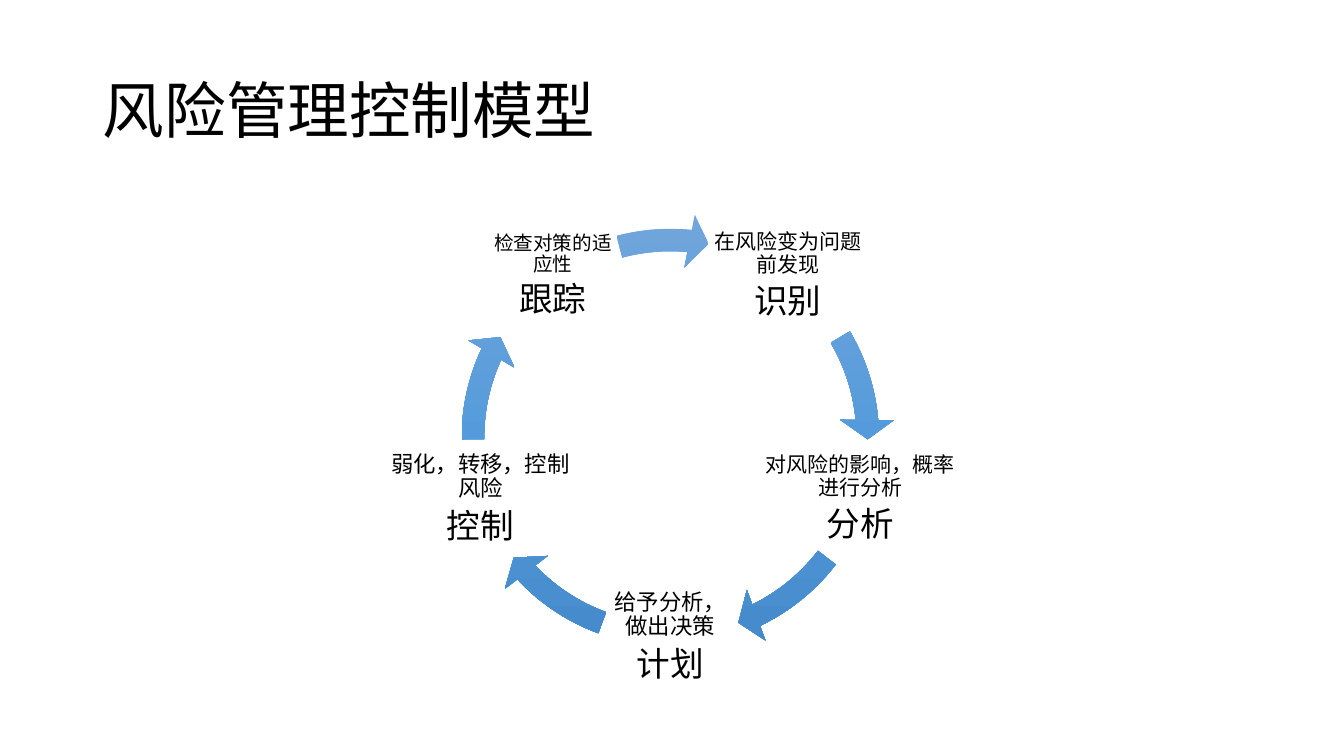
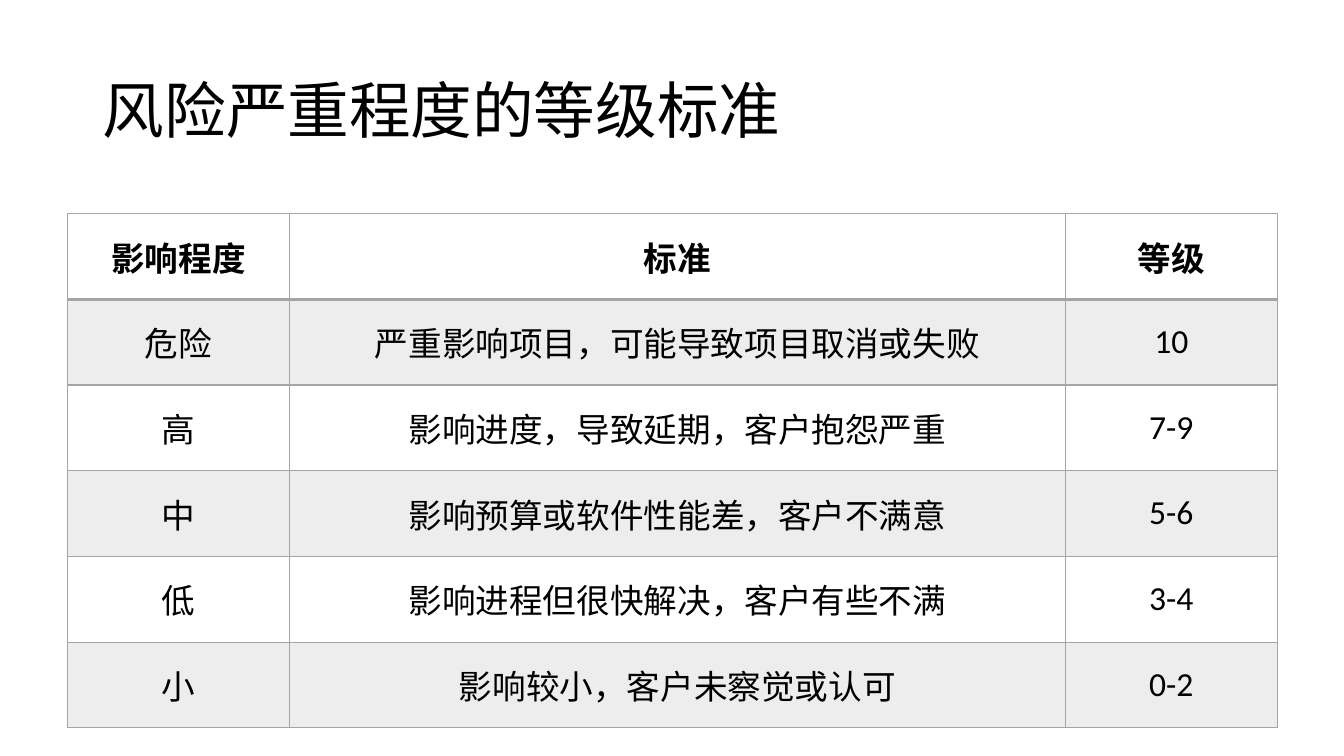
from dataclasses import dataclass
from math import cos, radians, sin

from lxml.etree import SubElement
from pptx import Presentation
from pptx.dml.color import RGBColor
from pptx.enum.shapes import MSO_SHAPE as Preset
from pptx.enum.text import MSO_ANCHOR as Anchor, PP_ALIGN as Align
from pptx.oxml.ns import qn
from pptx.shapes.autoshape import Shape
from pptx.slide import Slide
from pptx.table import _Cell as Cell
from pptx.text.text import TextFrame
from pptx.util import Emu, Inches, Pt

COLORS = {
    "text": "000000",
    "background": "FFFFFF",
    "grey": "A5A5A5",
    "arrow_top": "71A6DB",
    "arrow_middle": "559BDB",
    "arrow_bottom": "448ACA",
}
BODY_FONT, NAME_FONT = "Calibri", "Cambria"
TITLE_SIZE, LARGE_SIZE = 44, 24

# Cycle geometry, in inches
CENTER_X, CENTER_Y = 6.65, 4.34
NODE_RADIUS, NODE_HEIGHT = 1.98, 1.19
RING_SIZE = 4.45
FIRST_ANGLE = -54

# Table grid, in inches
TABLE_LEFT, TABLE_TOP, ROW_HEIGHT = 0.67, 2.12, 0.85
COLUMN_WIDTHS = (2.2, 7.7, 2.1)


@dataclass(frozen=True)
class Stage:
    """One step of the cycle and the arrow that leaves it, angles in degrees."""
    name: str
    detail: str
    detail_size: int
    width: float
    arrow_start: float
    arrow_end: float
    name_font: str = NAME_FONT


STAGES = (
    Stage("识别", "在风险变为问题前发现", 15, 1.56, 329.42, 354.91),
    Stage("分析", "对风险的影响，概率进行分析", 15, 2.02, 37.53, 64.22),
    Stage("计划", "给予分析，做出决策", 16, 1.36, 110.19, 136.88),
    Stage("控制", "弱化，转移，控制风险", 16, 1.96, 179.5, 204.99),
    Stage("跟踪", "检查对策的适应性", 14, 1.3, 255.05, 275.59, BODY_FONT),
)

LEVELS = (
    ("影响程度", "标准", "等级"),
    ("危险", "严重影响项目，可能导致项目取消或失败", "10"),
    ("高", "影响进度，导致延期，客户抱怨严重", "7-9"),
    ("中", "影响预算或软件性能差，客户不满意", "5-6"),
    ("低", "影响进程但很快解决，客户有些不满", "3-4"),
    ("小", "影响较小，客户未察觉或认可", "0-2"),
)


def color(name: str) -> RGBColor:
    return RGBColor.from_string(COLORS[name])


def write(frame: TextFrame, index: int, text: str, size: float, align: Align,
          font: str = BODY_FONT, bold: bool = False,
          line_spacing: float = 1.0, space_after: float = 0) -> None:
    """Write one paragraph, adding it when the frame has none at that index."""
    paragraph = frame.paragraphs[0] if index == 0 else frame.add_paragraph()
    paragraph.alignment = align
    paragraph.line_spacing = line_spacing
    paragraph.space_before = Pt(0)
    paragraph.space_after = Pt(space_after)
    run = paragraph.add_run()
    run.text = text
    run.font.name = font
    run.font.size = Pt(size)
    run.font.bold = bold
    run.font.color.rgb = color("text")


def add_titled_slide(presentation: Presentation, title: str) -> Slide:
    slide = presentation.slides.add_slide(presentation.slide_layouts[5])
    shape = slide.shapes.title
    shape.left, shape.top = Inches(0.92), Inches(0.4)
    shape.width, shape.height = Inches(11.5), Inches(1.45)
    shape.text_frame.vertical_anchor = Anchor.MIDDLE
    write(shape.text_frame, 0, title, TITLE_SIZE, Align.LEFT, line_spacing=0.9)
    return slide


def fill_with_gradient(shape: Shape) -> None:
    shape.fill.gradient()
    shape.fill.gradient_angle = 270
    stops = shape._element.spPr.find(qn("a:gradFill")).find(qn("a:gsLst"))
    for stop in list(stops):
        stops.remove(stop)
    for percent, name in ((0, "arrow_top"), (50, "arrow_middle"), (100, "arrow_bottom")):
        stop = SubElement(stops, qn("a:gs"), pos=str(percent * 1000))
        SubElement(stop, qn("a:srgbClr"), val=COLORS[name])


def add_stage_text(slide: Slide, stage: Stage, angle: float) -> None:
    x = CENTER_X + NODE_RADIUS * cos(radians(angle))
    y = CENTER_Y + NODE_RADIUS * sin(radians(angle))
    box = slide.shapes.add_textbox(Inches(x - stage.width / 2), Inches(y - NODE_HEIGHT / 2),
                                   Inches(stage.width), Inches(NODE_HEIGHT))
    frame = box.text_frame
    frame.word_wrap = True
    frame.vertical_anchor = Anchor.MIDDLE
    frame.margin_left = frame.margin_right = Inches(0.02)
    frame.margin_top = frame.margin_bottom = Inches(0.02)
    lines = ((stage.detail, stage.detail_size, BODY_FONT),
             (stage.name, LARGE_SIZE, stage.name_font))
    for index, (text, size, font) in enumerate(lines):
        write(frame, index, text, size, Align.CENTER, font,
              line_spacing=0.9, space_after=size * 0.35)


def add_stage_arrow(slide: Slide, stage: Stage) -> None:
    arrow = slide.shapes.add_shape(
        Preset.CIRCULAR_ARROW, Inches(CENTER_X - RING_SIZE / 2),
        Inches(CENTER_Y - RING_SIZE / 2), Inches(RING_SIZE), Inches(RING_SIZE))
    arrow.shadow.inherit = False
    arrow.line.fill.background()
    fill_with_gradient(arrow)
    thickness, head_angle, head_width = 0.05, 5.59, 0.06
    # An angle adjustment of 0.6 is one degree
    values = (thickness, head_angle * 0.6, stage.arrow_end * 0.6,
              stage.arrow_start * 0.6, head_width)
    for index, value in enumerate(values):
        arrow.adjustments[index] = value


def style_cell(cell: Cell, shaded: bool, bottom_width: float) -> None:
    """Draw the four borders, then the fill."""
    properties = cell._tc.get_or_add_tcPr()
    for side in "LRTB":
        width = bottom_width if side == "B" else 1
        line = SubElement(properties, qn(f"a:ln{side}"), w=str(Pt(width)))
        fill = SubElement(line, qn("a:solidFill"))
        SubElement(fill, qn("a:srgbClr"), val=COLORS["grey"])
    cell.fill.solid()
    cell.fill.fore_color.rgb = color("grey" if shaded else "background")
    if shaded:
        tint = properties.find(qn("a:solidFill")).find(qn("a:srgbClr"))
        SubElement(tint, qn("a:alpha"), val="20000")


def add_level_table(slide: Slide) -> None:
    table = slide.shapes.add_table(
        len(LEVELS), len(COLUMN_WIDTHS), Inches(TABLE_LEFT), Inches(TABLE_TOP),
        Inches(sum(COLUMN_WIDTHS)), Inches(ROW_HEIGHT * len(LEVELS))).table
    table.first_row = table.horz_banding = False
    for column, width in zip(table.columns, COLUMN_WIDTHS):
        column.width = Inches(width)
    for row_index, texts in enumerate(LEVELS):
        table.rows[row_index].height = Inches(ROW_HEIGHT)
        is_header = row_index == 0
        for column_index, text in enumerate(texts):
            cell = table.cell(row_index, column_index)
            cell.vertical_anchor = Anchor.MIDDLE
            style_cell(cell, row_index % 2 == 1, 2 if is_header else 1)
            write(cell.text_frame, 0, text, LARGE_SIZE, Align.CENTER, bold=is_header)


def main() -> None:
    presentation = Presentation()
    presentation.slide_width = Emu(12192000)
    presentation.slide_height = Inches(7.5)

    cycle_slide = add_titled_slide(presentation, "风险管理控制模型")
    for index, stage in enumerate(STAGES):
        add_stage_text(cycle_slide, stage, FIRST_ANGLE + index * 360 / len(STAGES))
        add_stage_arrow(cycle_slide, stage)

    add_level_table(add_titled_slide(presentation, "风险严重程度的等级标准"))
    presentation.save("out.pptx")


if __name__ == "__main__":
    main()
